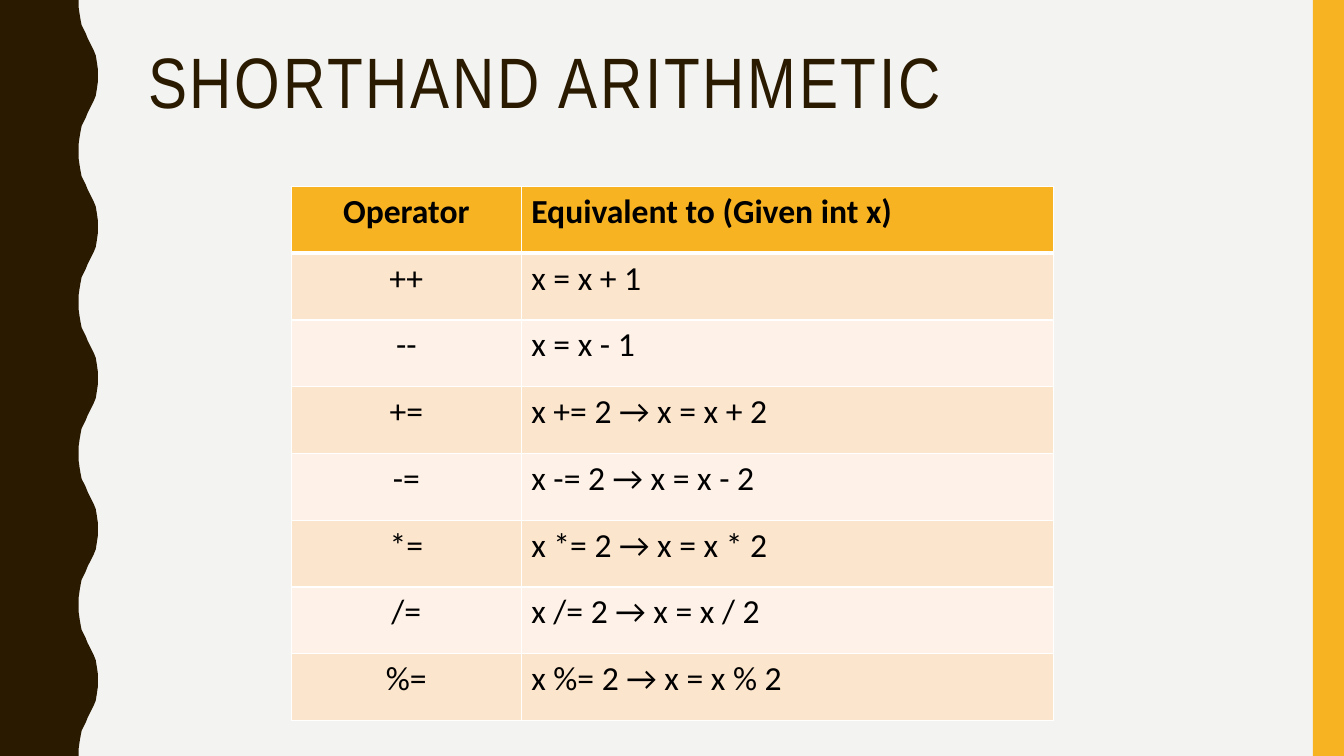
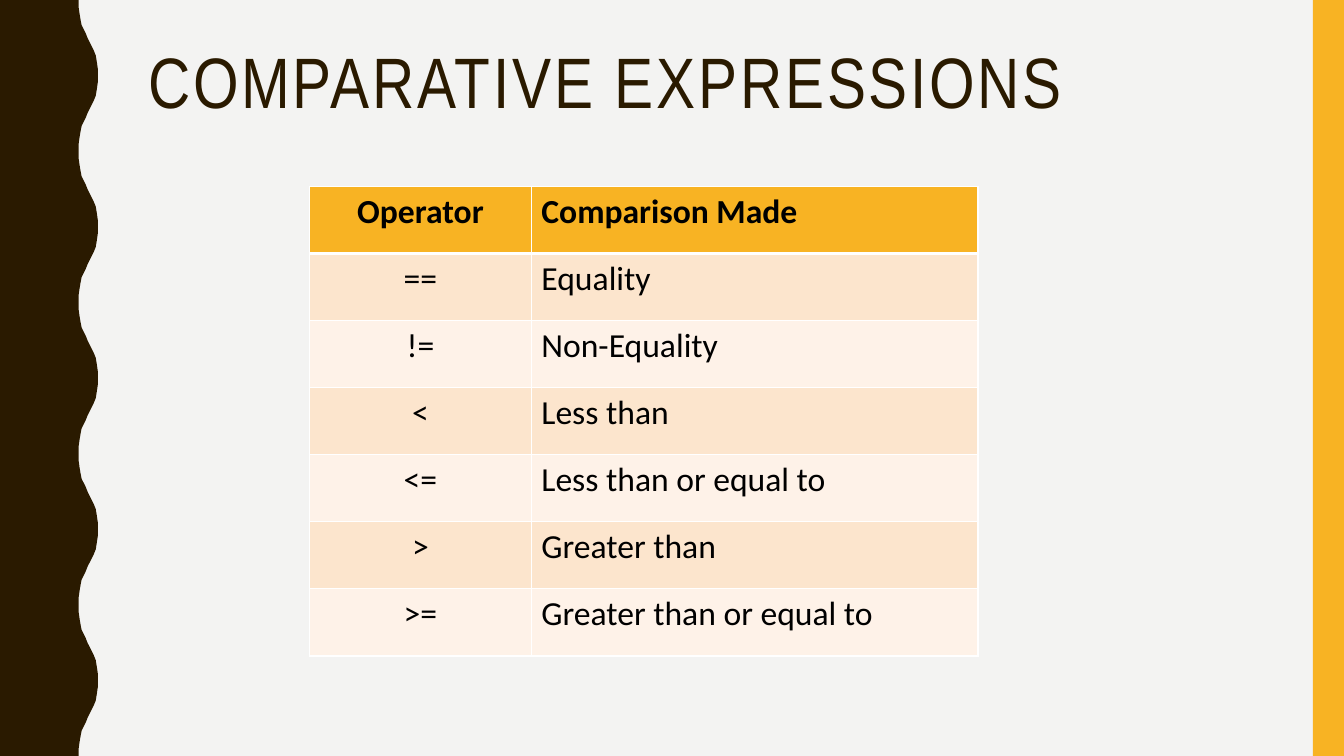
from pptx import Presentation
from pptx.dml.color import RGBColor as RGB
from pptx.enum.shapes import MSO_SHAPE as Shape
from pptx.enum.text import PP_ALIGN as Align
from pptx.oxml.ns import qn
from pptx.util import Inches, Pt
from lxml.etree import SubElement as Sub

COLORS = {
    "back": "F3F3F2", "dark": "2A1A00", "gold": "F8B323", "peach": "FCE5CD",
    "cream": "FEF2E8", "text": "000000", "rule": "FFFFFF",
}
WIDTH, HEIGHT = 13.33, 7.5
WAVE = 1.5
CURVE = [
    (0.78, 0), (0.78, 0.07), (0.79, 0.14), (0.8, 0.2), (0.81, 0.25),
    (0.83, 0.29), (0.85, 0.33), (0.87, 0.38), (0.89, 0.42), (0.91, 0.46),
    (0.93, 0.5), (0.95, 0.55), (0.96, 0.61), (0.97, 0.68), (0.97, 0.75),
]


def color(name):
    return RGB.from_string(COLORS[name])


class Deck:
    def __init__(self):
        self.show = Presentation()
        self.show.slide_width = Inches(WIDTH)
        self.show.slide_height = Inches(HEIGHT)
        self.slide = None

    def page(self, title):
        self.slide = self.show.slides.add_slide(self.show.slide_layouts[6])
        fill = self.slide.background.fill
        fill.solid()
        fill.fore_color.rgb = color("back")
        self.wave()
        self.band()
        self.title(title)

    def paint(self, shape, name):
        shape.fill.solid()
        shape.fill.fore_color.rgb = color(name)
        shape.line.fill.background()
        shape.shadow.inherit = False

    def wave(self):
        cycle = CURVE + [(x, WAVE - y) for x, y in CURVE[-2::-1]]
        edge = [(x, y + WAVE * turn)
                for turn in range(int(HEIGHT / WAVE)) for x, y in cycle]
        points = [(Inches(x), Inches(y)) for x, y in edge + [(0, HEIGHT)]]
        build = self.slide.shapes.build_freeform(0, 0)
        build.add_line_segments(points, close=True)
        self.paint(build.convert_to_shape(), "dark")

    def band(self):
        bar = self.slide.shapes.add_shape(
            Shape.RECTANGLE, Inches(13.02), 0, Inches(0.31), Inches(HEIGHT))
        self.paint(bar, "gold")

    def add_text(self, para, text, font, size, name, bold=False):
        run = para.add_run()
        run.text = text
        run.font.name = font
        run.font.size = Pt(size)
        run.font.bold = bold
        run.font.color.rgb = color(name)
        return run

    def title(self, text):
        box = self.slide.shapes.add_textbox(
            Inches(1.37), Inches(0.42), Inches(11.13), Inches(1.63))
        box.text_frame.word_wrap = True
        para = box.text_frame.paragraphs[0]
        para.line_spacing = 0.9
        run = self.add_text(para, text, "Arial Narrow", 51, "dark")
        run.font._element.set("spc", "200")

    def border(self, cell, top, bottom):
        props = cell._tc.get_or_add_tcPr()
        for side, width in (("L", 1), ("R", 1), ("T", top), ("B", bottom)):
            line = Sub(props, qn("a:ln" + side), w=str(Pt(width)))
            fill = Sub(line, qn("a:solidFill"))
            Sub(fill, qn("a:srgbClr"), val=COLORS["rule"])

    def table(self, left, height, widths, rows):
        table = self.slide.shapes.add_table(
            len(rows), len(widths), Inches(left), Inches(1.85),
            Inches(sum(widths)), Inches(height)).table
        table.first_row = table.horz_banding = False
        for col, width in zip(table.columns, widths):
            col.width = Inches(width)
        for i, row in enumerate(rows):
            head = i == 0
            shade = "gold" if head else "peach" if i % 2 else "cream"
            for j, text in enumerate(row):
                cell = table.cell(i, j)
                self.border(cell, 3 if i == 1 else 1, 3 if head else 1)
                cell.fill.solid()
                cell.fill.fore_color.rgb = color(shade)
                para = cell.text_frame.paragraphs[0]
                para.alignment = Align.LEFT if j else Align.CENTER
                self.add_text(para, text, "Calibri", 24, "text", head)


deck = Deck()

deck.page("SHORTHAND ARITHMETIC")
deck.table(2.89, 5.3, (2.28, 5.28), [
    ("Operator", "Equivalent to (Given int x)"),
    ("++", "x = x + 1"),
    ("--", "x = x - 1"),
    *((f"{op}=", f"x {op}= 2 → x = x {op} 2") for op in "+-*/%"),
])

deck.page("COMPARATIVE EXPRESSIONS")
deck.table(3.07, 4.66, (2.2, 4.43), [
    ("Operator", "Comparison Made"),
    ("==", "Equality"),
    ("!=", "Non-Equality"),
    ("<", "Less than"),
    ("<=", "Less than or equal to"),
    (">", "Greater than"),
    (">=", "Greater than or equal to"),
])

deck.show.save("out.pptx")
